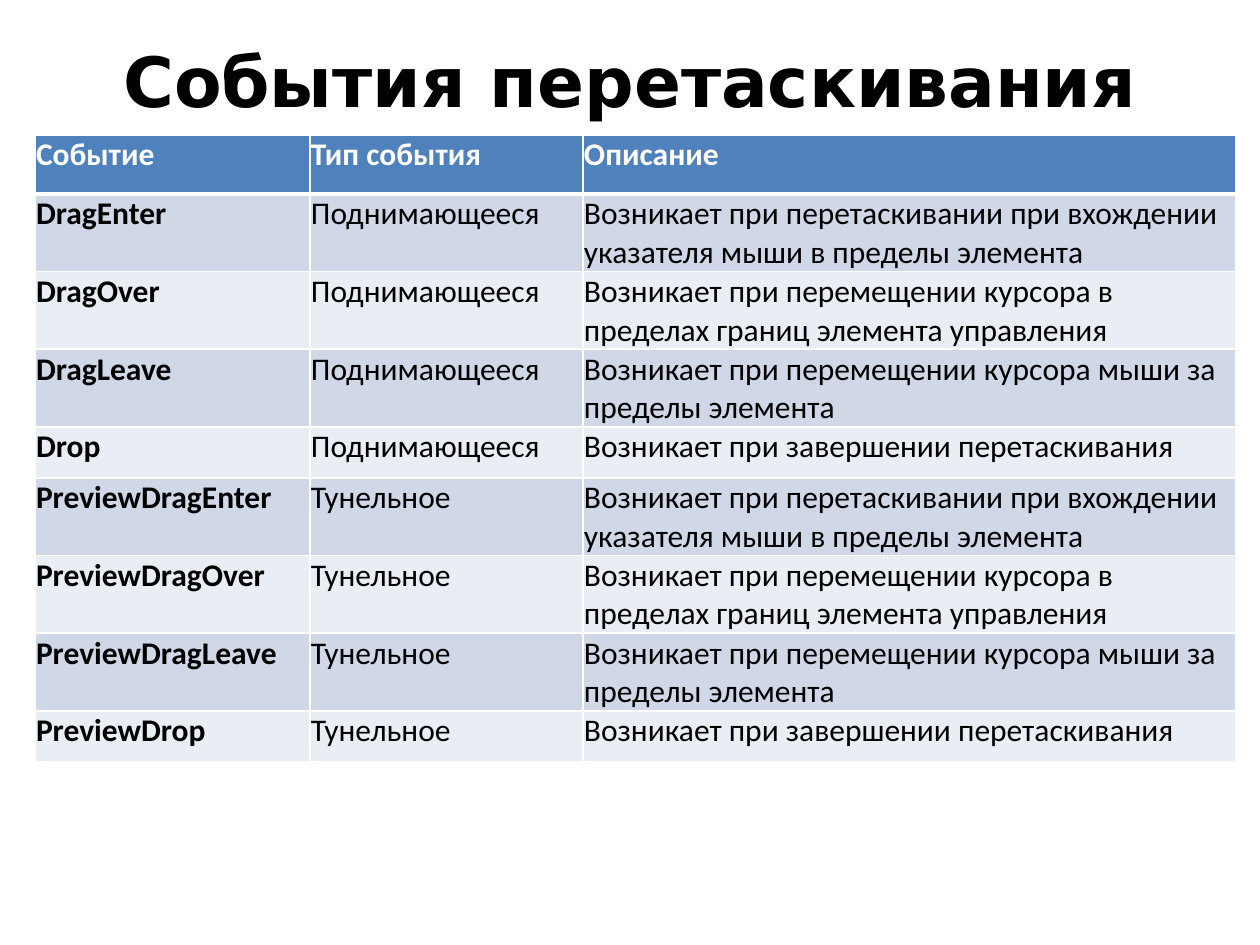
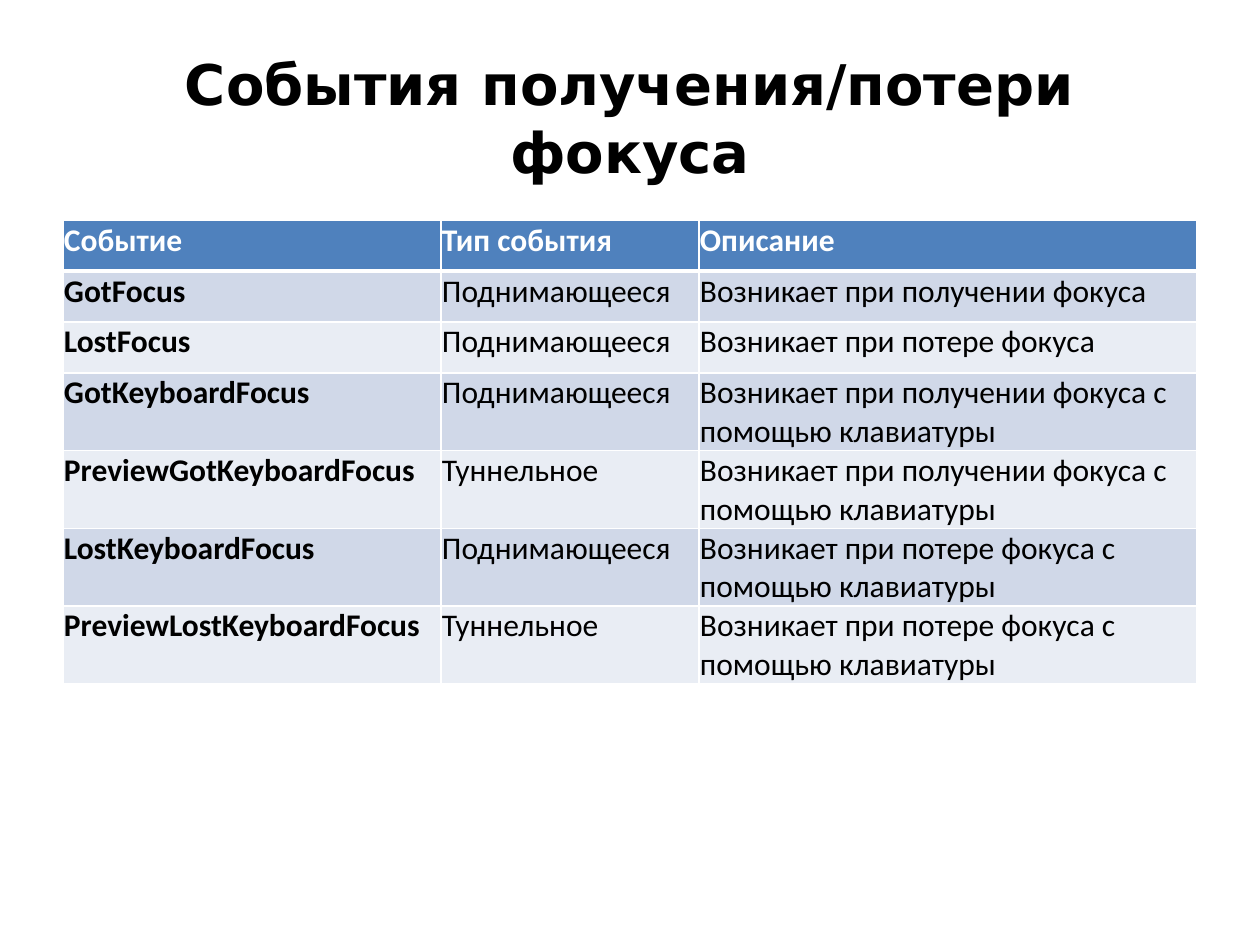
from dataclasses import dataclass

from lxml import etree
from pptx import Presentation, util as u
from pptx.dml.color import RGBColor
from pptx.enum import text
from pptx.oxml import ns

HEADER = ("Событие", "Тип события", "Описание")
BUBBLING = "Поднимающееся"
ENTER = "Возникает при перетаскивании при вхождении указателя мыши в пределы элемента"
OVER = "Возникает при перемещении курсора в пределах границ элемента управления"
LEAVE = "Возникает при перемещении курсора мыши за пределы элемента"
DROP = "Возникает при завершении перетаскивания"
GOT = "Возникает при получении фокуса"
LOST = "Возникает при потере фокуса"
BY_KEYS = " с помощью клавиатуры"

DRAG_EVENTS = [("DragEnter", ENTER), ("DragOver", OVER),
               ("DragLeave", LEAVE), ("Drop", DROP)]

SLIDES = [
    dict(
        title="События перетаскивания",
        title_size=39.6,
        anchor=text.MSO_ANCHOR.TOP,
        origin=(35, 135),
        cols=(275, 273, 653),
        header_h=59,
        space_before=6,
        space_after=6,
        rows=[(name, BUBBLING, about) for name, about in DRAG_EVENTS]
        + [("Preview" + name, "Тунельное", about) for name, about in DRAG_EVENTS],
    ),
    dict(
        title="События получения/потери фокуса",
        title_size=32,
        anchor=text.MSO_ANCHOR.MIDDLE,
        origin=(63, 220),
        cols=(378, 258, 498),
        header_h=51,
        space_before=0,
        space_after=0,
        rows=[
            ("GotFocus", BUBBLING, GOT),
            ("LostFocus", BUBBLING, LOST),
            ("GotKeyboardFocus", BUBBLING, GOT + BY_KEYS),
            ("PreviewGotKeyboardFocus", "Туннельное", GOT + BY_KEYS),
            ("LostKeyboardFocus", BUBBLING, LOST + BY_KEYS),
            ("PreviewLostKeyboardFocus", "Туннельное", LOST + BY_KEYS),
        ],
    ),
]


@dataclass(frozen=True)
class Theme:
    title_font: str = "DejaVu Sans"
    body_font: str = "Calibri"
    body_size: float = 18
    ink: str = "000000"
    paper: str = "FFFFFF"
    header: str = "4F81BD"
    bands: tuple = ("D0D8E8", "E9EDF4")
    line: float = 1
    header_line: float = 3


THEME = Theme()
TITLE_BOX = (63, 38, 1134, 158)
ROW_H = 51
CELL_INSET = 1


def px(n):
    return u.Emu(round(n * 914400 / 126))


def style(p, font, size, color, bold):
    f = p.runs[0].font
    f.name, f.size, f.bold = font, u.Pt(size), bold
    f.color.rgb = RGBColor.from_string(color)


def add_title(s, data):
    tf = s.shapes.add_textbox(*map(px, TITLE_BOX)).text_frame
    tf.word_wrap = True
    tf.margin_top = tf.margin_bottom = 0
    tf.vertical_anchor = data["anchor"]
    tf.text = data["title"]
    p = tf.paragraphs[0]
    p.alignment = text.PP_ALIGN.CENTER
    style(p, THEME.title_font, data["title_size"], THEME.ink, True)


def set_borders(cell, top, bottom):
    props = cell._tc.get_or_add_tcPr()
    widths = dict(lnL=THEME.line, lnR=THEME.line, lnT=top, lnB=bottom)
    for i, (tag, width) in enumerate(widths.items()):
        ln = etree.Element(ns.qn("a:" + tag), w=str(u.Pt(width)))
        fill = etree.SubElement(ln, ns.qn("a:solidFill"))
        etree.SubElement(fill, ns.qn("a:srgbClr"), val=THEME.paper)
        props.insert(i, ln)


def fill_cell(cell, row, col, value, data):
    is_header = row == 0
    cell.margin_left = cell.margin_right = px(CELL_INSET)
    cell.margin_top = cell.margin_bottom = px(CELL_INSET)
    cell.fill.solid()
    cell.fill.fore_color.rgb = RGBColor.from_string(
        THEME.header if is_header else THEME.bands[(row - 1) % 2])
    set_borders(cell,
                THEME.header_line if row == 1 else THEME.line,
                THEME.header_line if is_header else THEME.line)
    cell.text_frame.text = value
    p = cell.text_frame.paragraphs[0]
    p.space_after = u.Pt(data["space_after"])
    if col == 2 and not is_header:
        p.space_before = u.Pt(data["space_before"])
    style(p, THEME.body_font, THEME.body_size,
          THEME.paper if is_header else THEME.ink, is_header or col == 0)


def add_events(s, data):
    rows = [HEADER] + data["rows"]
    heights = [data["header_h"]] + [ROW_H] * len(data["rows"])
    box = (*data["origin"], sum(data["cols"]), sum(heights))
    table = s.shapes.add_table(len(rows), len(HEADER), *map(px, box)).table
    for column, width in zip(table.columns, data["cols"]):
        column.width = px(width)
    for i, (values, height) in enumerate(zip(rows, heights)):
        table.rows[i].height = px(height)
        for j, value in enumerate(values):
            fill_cell(table.cell(i, j), i, j, value, data)


prs = Presentation()
prs.slide_width, prs.slide_height = px(1260), px(945)
for data in SLIDES:
    s = prs.slides.add_slide(prs.slide_layouts[6])
    add_title(s, data)
    add_events(s, data)
prs.save("out.pptx")
